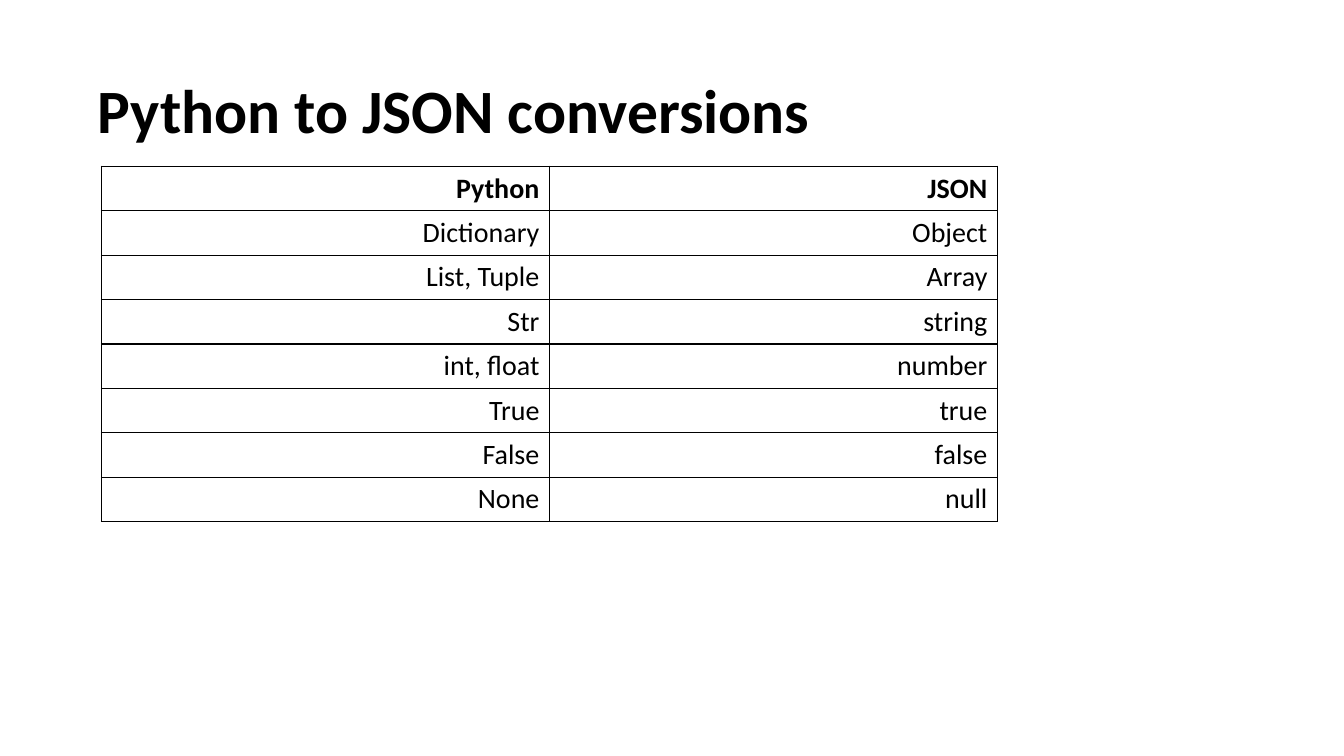
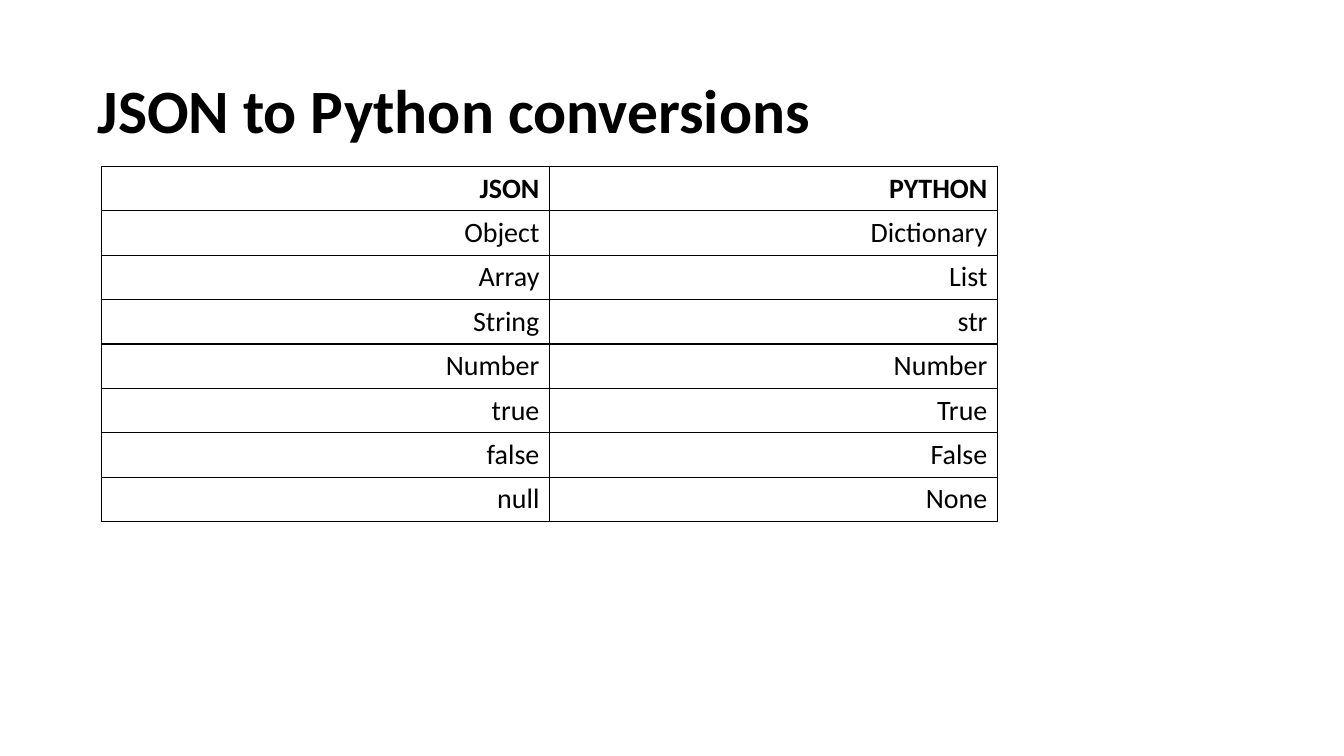
"""Build two slides with tables of Python and JSON type conversions."""
from lxml.etree import SubElement
from pptx import Presentation
from pptx.dml.color import RGBColor as RGB
from pptx.enum.text import MSO_ANCHOR as ANCHOR, MSO_AUTO_SIZE as AUTO, PP_ALIGN as ALIGN
from pptx.oxml.ns import qn
from pptx.util import Cm, Pt

SLIDES = [
    ("Python to JSON conversions", [
        ("Python", "JSON"),
        ("Dictionary", "Object"),
        ("List, Tuple", "Array"),
        ("Str", "string"),
        ("int, float", "number"),
        ("True", "true"),
        ("False", "false"),
        ("None", "null"),
    ]),
    ("JSON to Python conversions", [
        ("JSON", "PYTHON"),
        ("Object", "Dictionary"),
        ("Array", "List"),
        ("String", "str"),
        ("Number", "Number"),
        ("true", "True"),
        ("false", "False"),
        ("null", "None"),
    ]),
]
COLORS = {"text": "000000", "border": "000000", "background": "FFFFFF"}
FONT = "Calibri"
TITLE_BOX = Cm(2.33), Cm(1.01), Cm(29.21), Cm(3.68)
TITLE_INSET = Cm(0.13)
TABLE_LEFT, TABLE_TOP = Cm(2.56), Cm(4.19)
COL_WIDTH, ROW_HEIGHT = Cm(11.29), Cm(1.1)


def add_run(p, text, size, bold):
    r = p.add_run()
    r.text = text
    r.font.name, r.font.size, r.font.bold = FONT, Pt(size), bold
    r.font.color.rgb = RGB.from_string(COLORS["text"])


def add_title(slide, text):
    sp = slide.shapes.title
    sp.left, sp.top, sp.width, sp.height = TITLE_BOX
    tf = sp.text_frame
    tf.word_wrap, tf.auto_size = True, AUTO.NONE
    tf.vertical_anchor = ANCHOR.MIDDLE
    tf.margin_left = tf.margin_right = tf.margin_top = tf.margin_bottom = TITLE_INSET
    p = tf.paragraphs[0]
    p.alignment, p.line_spacing = ALIGN.LEFT, 0.9
    add_run(p, text, 44, True)


def add_borders(cell):
    props = cell._tc.get_or_add_tcPr()
    for side in ("a:lnL", "a:lnR", "a:lnT", "a:lnB"):
        line = SubElement(props, qn(side), w=str(Pt(1)))
        fill = SubElement(line, qn("a:solidFill"))
        SubElement(fill, qn("a:srgbClr"), val=COLORS["border"])


def add_conversions(slide, rows):
    n_rows, n_cols = len(rows), len(rows[0])
    table = slide.shapes.add_table(n_rows, n_cols, TABLE_LEFT, TABLE_TOP,
                                   COL_WIDTH * n_cols, ROW_HEIGHT * n_rows).table
    table.horz_banding = False
    for i, row in enumerate(rows):
        for j, text in enumerate(row):
            cell = table.cell(i, j)
            add_borders(cell)
            cell.fill.background()
            p = cell.text_frame.paragraphs[0]
            p.alignment = ALIGN.RIGHT
            add_run(p, text, 20, i == 0)


prs = Presentation()
prs.slide_width, prs.slide_height = Cm(33.87), Cm(19.05)
background = prs.slide_master.background.fill
background.solid()
background.fore_color.rgb = RGB.from_string(COLORS["background"])
for title, rows in SLIDES:
    s = prs.slides.add_slide(prs.slide_layouts[5])
    add_title(s, title)
    add_conversions(s, rows)
prs.save("out.pptx")
